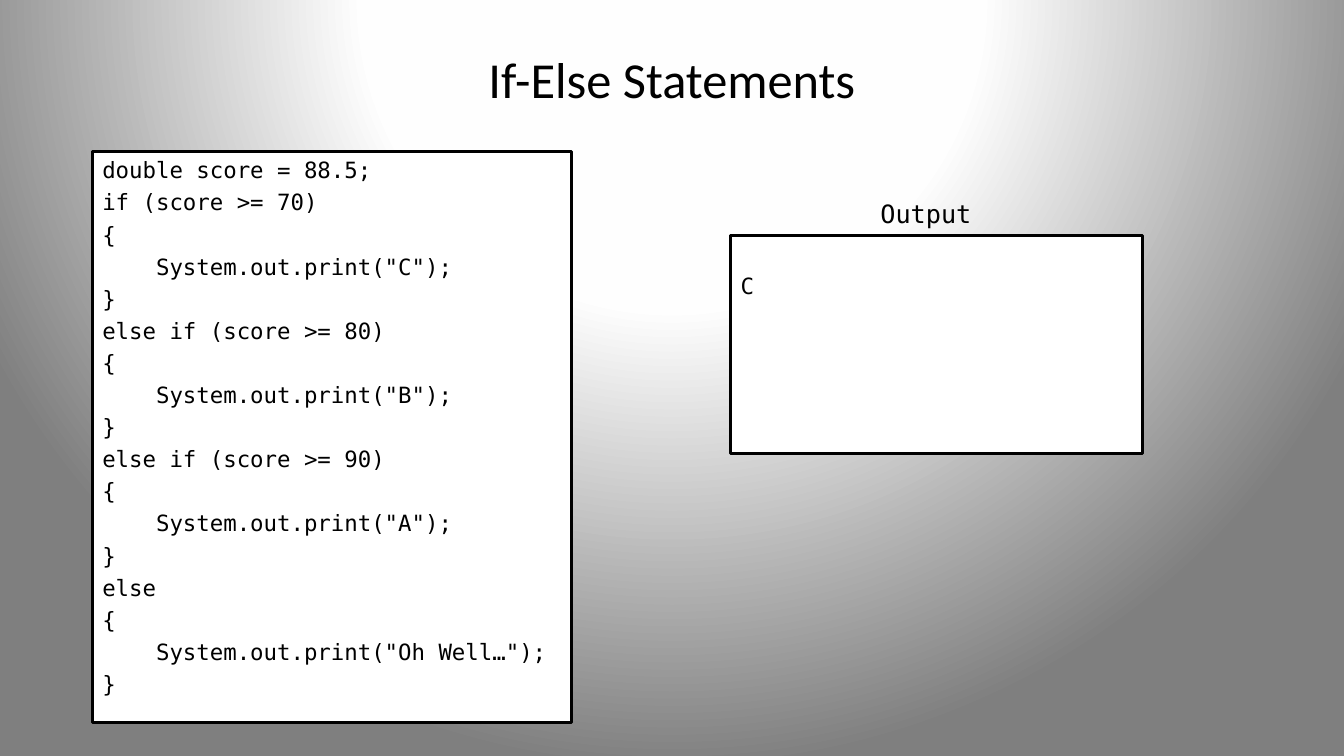
from pptx import Presentation
from pptx.dml.color import RGBColor
from pptx.enum.shapes import MSO_SHAPE
from pptx.enum.text import MSO_ANCHOR, MSO_AUTO_SIZE, PP_ALIGN
from pptx.oxml import parse_xml
from pptx.oxml.ns import nsdecls
from pptx.util import Emu, Pt

PX = 9525
BLACK = "000000"
WHITE = "FFFFFF"
MONO = "DejaVu Sans Mono"
BACKDROP_STOPS = [(0, WHITE), (40, "FEFEFE"), (100, "7F7F7F")]

CODE = """double score = 88.5;
if (score >= 70)
{
    System.out.print("C");
}
else if (score >= 80)
{
    System.out.print("B");
}
else if (score >= 90)
{
    System.out.print("A");
}
else
{
    System.out.print("Oh Well…");
}"""


def px(length):
    """Turn a length in px into EMU."""
    return Emu(length * PX)


def color(hex_string):
    """Turn a hex string into a colour."""
    return RGBColor.from_string(hex_string)


def write(shape, text, font=MONO, size=16, align=PP_ALIGN.LEFT,
          anchor=MSO_ANCHOR.TOP, wrap=True, gap=0, inset=5):
    """Write one paragraph per line of text into a shape."""
    frame = shape.text_frame
    frame.word_wrap = wrap
    frame.vertical_anchor = anchor
    frame.margin_top = px(inset)
    for index, line in enumerate(text.split("\n")):
        paragraph = frame.add_paragraph() if index else frame.paragraphs[0]
        paragraph.alignment = align
        paragraph.space_before = Pt(gap if index else 0)
        run = paragraph.add_run()
        run.text = line
        run.font.name = font
        run.font.size = Pt(size)
        run.font.color.rgb = color(BLACK)


def add_backdrop(slide):
    """Fill the background with a circular gradient centred above the slide."""
    stops = "".join(
        f'<a:gs pos="{percent * 1000}"><a:srgbClr val="{shade}"/></a:gs>'
        for percent, shade in BACKDROP_STOPS)
    backdrop = parse_xml(
        f'<p:bg {nsdecls("p", "a")}><p:bgPr><a:gradFill rotWithShape="1">'
        f'<a:gsLst>{stops}</a:gsLst><a:path path="circle">'
        '<a:fillToRect l="50000" t="-80000" r="50000" b="180000"/></a:path>'
        '</a:gradFill><a:effectLst/></p:bgPr></p:bg>')
    slide.shapes._spTree.addprevious(backdrop)


def add_title(slide, left, top, width, height):
    """Place the centred slide title."""
    title = slide.shapes.add_textbox(px(left), px(top), px(width), px(height))
    write(title, "If-Else Statements", font="Calibri", size=36,
          align=PP_ALIGN.CENTER, anchor=MSO_ANCHOR.MIDDLE)


def add_panel(slide, left, top, width, height, text, **text_format):
    """Place a white outlined panel holding monospaced text."""
    panel = slide.shapes.add_shape(
        MSO_SHAPE.RECTANGLE, px(left), px(top), px(width), px(height))
    panel.shadow.inherit = False
    panel.fill.solid()
    panel.fill.fore_color.rgb = color(WHITE)
    panel.line.color.rgb = color(BLACK)
    panel.line.width = Pt(2)
    write(panel, text, **text_format)


def add_output(slide, left, top, width, height):
    """Place the output panel with its label above it."""
    add_panel(slide, left, top, width, height, "C", inset=35)
    label = slide.shapes.add_textbox(
        px(left + 133), px(top - 40), px(107), px(38))
    write(label, "Output", size=18, wrap=False)
    label.text_frame.auto_size = MSO_AUTO_SIZE.SHAPE_TO_FIT_TEXT


def main():
    """Build and save the slide."""
    deck = Presentation()
    deck.slide_width, deck.slide_height = px(1280), px(720)
    slide = deck.slides.add_slide(deck.slide_layouts[6])
    add_backdrop(slide)
    add_title(slide, 64, 29, 1152, 91)
    add_panel(slide, 88, 144, 456, 544, CODE, gap=3.75)
    add_output(slide, 696, 224, 392, 208)
    deck.save("out.pptx")


if __name__ == "__main__":
    main()
